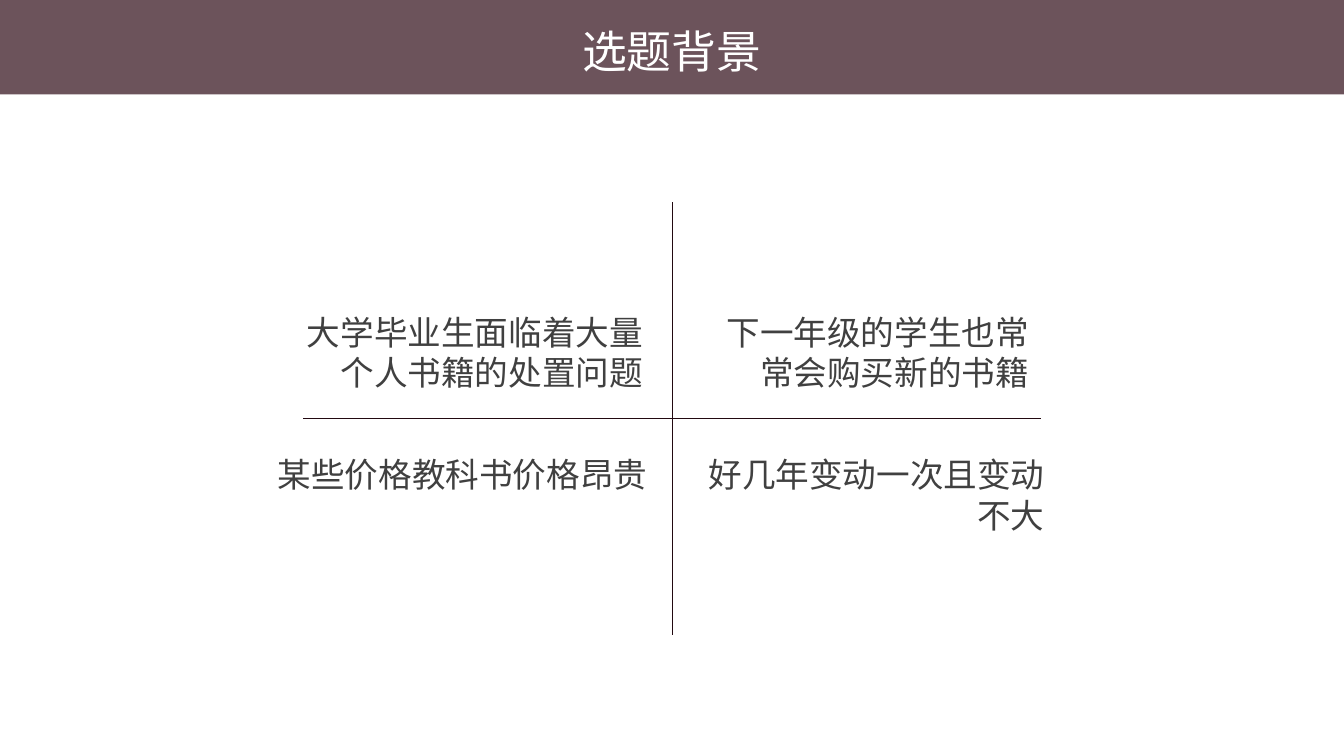
from dataclasses import dataclass

from lxml.etree import SubElement
from pptx import Presentation
from pptx.dml.color import RGBColor
from pptx.enum.shapes import MSO_CONNECTOR, MSO_SHAPE
from pptx.enum.text import MSO_AUTO_SIZE, PP_ALIGN
from pptx.oxml.ns import qn
from pptx.util import Cm, Pt


@dataclass(frozen=True)
class Theme:
    font: str = "League Spartan"
    backdrop: RGBColor = RGBColor(0x30, 0x0D, 0x18)
    backdrop_opacity: int = 71
    panel: RGBColor = RGBColor(0xFF, 0xFF, 0xFF)
    axis: RGBColor = RGBColor(0x22, 0x09, 0x11)
    title: RGBColor = RGBColor(0xFF, 0xFF, 0xFF)
    body: RGBColor = RGBColor(0x40, 0x40, 0x40)
    title_size: Pt = Pt(32)
    body_size: Pt = Pt(24)
    axis_width: Pt = Pt(0.5)


theme = Theme()


def add_text(left, top, width, height, text, align, size, color):
    box = page.shapes.add_textbox(Cm(left), Cm(top), Cm(width), Cm(height))
    frame = box.text_frame
    frame.word_wrap = True
    frame.auto_size = MSO_AUTO_SIZE.SHAPE_TO_FIT_TEXT
    para = frame.paragraphs[0]
    para.alignment = align
    span = para.add_run()
    span.text = text
    span.font.name = theme.font
    span.font.size = size
    span.font.color.rgb = color


deck = Presentation()
deck.slide_width = Cm(33.87)
deck.slide_height = Cm(19.05)
page = deck.slides.add_slide(deck.slide_layouts[6])

# Tinted backdrop with a white panel that leaves the title band free
band_height = Cm(2.38)
for top, color, opacity in [
    (0, theme.backdrop, theme.backdrop_opacity),
    (band_height, theme.panel, 100),
]:
    layer = page.shapes.add_shape(
        MSO_SHAPE.RECTANGLE, 0, top, deck.slide_width, deck.slide_height - top
    )
    layer.shadow.inherit = False
    layer.fill.solid()
    layer.fill.fore_color.rgb = color
    layer.line.fill.background()
    if opacity < 100:
        tint = layer._element.spPr.find(qn("a:solidFill"))[0]
        SubElement(tint, qn("a:alpha"), val=str(opacity * 1000))

# Crossing axes, centred on the same point
center_x, center_y = 16.94, 10.55
for reach_x, reach_y in [(9.3, 0), (0, 5.45)]:
    axis = page.shapes.add_connector(
        MSO_CONNECTOR.STRAIGHT,
        Cm(center_x - reach_x), Cm(center_y - reach_y),
        Cm(center_x + reach_x), Cm(center_y + reach_y),
    )
    axis.line.color.rgb = theme.axis
    axis.line.width = theme.axis_width
    SubElement(axis._element.spPr, qn("a:effectLst"))

add_text(3.58, 0.48, 26.7, 1.62, "选题背景", PP_ALIGN.CENTER, theme.title_size, theme.title)

# Four reasons, one per quadrant
upper, lower = 7.73, 11.32
one_line, two_lines = 1.27, 2.31
reasons = [
    (6.92, upper, 9.53, two_lines, "大学毕业生面临着大量个人书籍的处置问题"),
    (17.85, upper, 8.33, two_lines, "下一年级的学生也常常会购买新的书籍"),
    (6.53, lower, 10.03, one_line, "某些价格教科书价格昂贵"),
    (16.92, lower, 9.65, two_lines, "好几年变动一次且变动不大"),
]
for left, top, width, height, reason in reasons:
    add_text(left, top, width, height, reason, PP_ALIGN.RIGHT, theme.body_size, theme.body)

deck.save("out.pptx")
